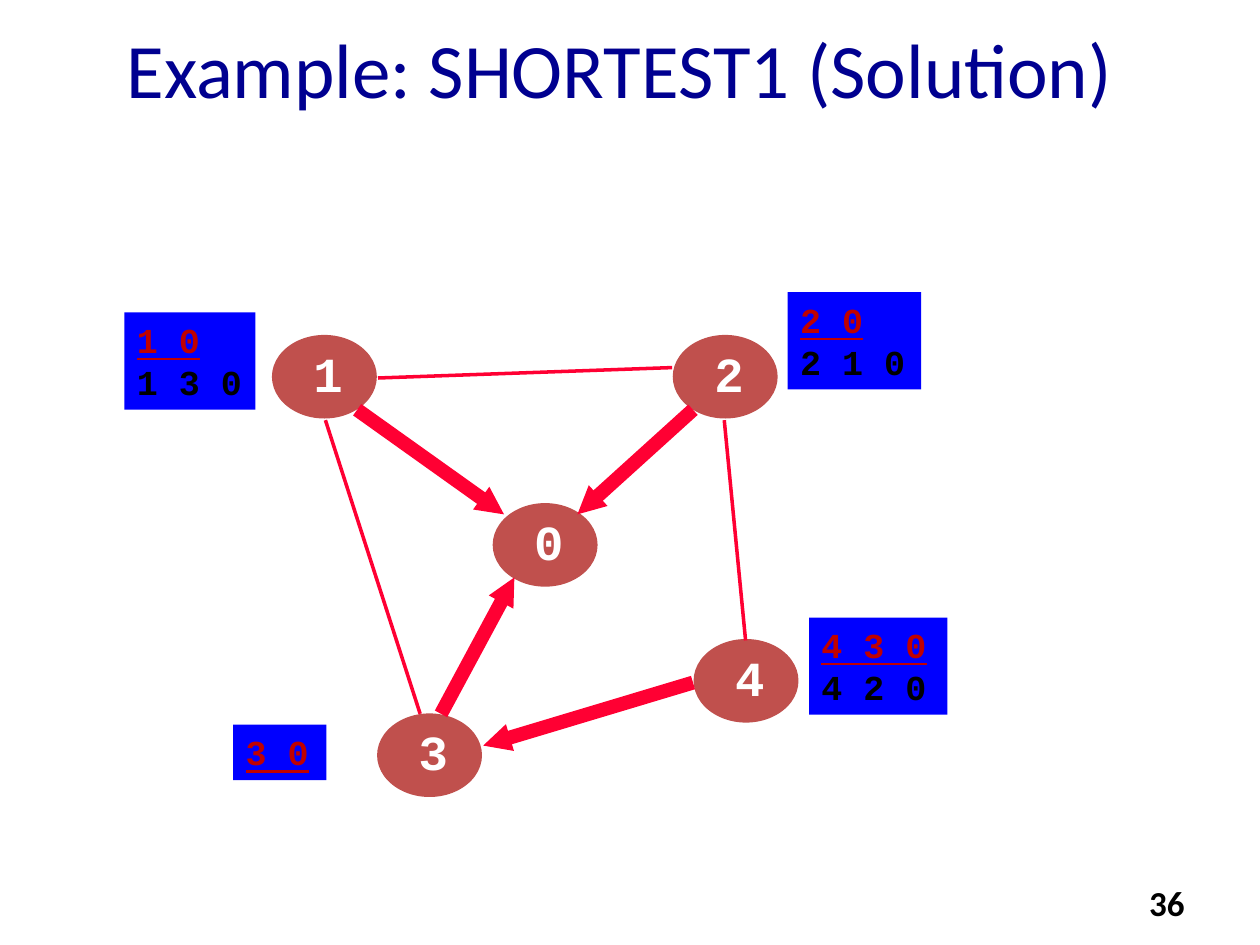
from dataclasses import dataclass

from lxml import etree
from pptx import Presentation
from pptx import util as u
from pptx.dml.color import RGBColor
from pptx.enum import shapes, text
from pptx.oxml import ns


@dataclass(frozen=True)
class Theme:
    """Colours, fonts and type sizes of the page."""
    title: str = "000090"
    node: str = "C0504D"
    node_text: str = "FFFFFF"
    edge: str = "FF0033"
    table: str = "0000FF"
    best: str = "C00000"
    ink: str = "000000"
    sans: str = "Calibri"
    mono: str = "Courier New"
    title_size: int = 44
    node_size: int = 28
    route_size: int = 20


THEME = Theme()
NODE_WIDTH, NODE_HEIGHT = 2.08, 1.65
NODES = {
    "1": (5.5, 6.77),
    "2": (13.58, 6.77),
    "4": (14, 12.9),
    "3": (7.62, 14.4),
    "0": (9.95, 10.16),
}
EDGES = [
    ((7.2, 8.26), (10.16, 10.37), True),
    ((7.62, 7.62), (13.55, 7.41), False),
    ((13.97, 8.26), (11.64, 10.37), True),
    ((15.03, 12.91), (14.6, 8.47), False),
    ((8.47, 14.39), (6.56, 8.47), False),
    ((13.97, 13.76), (9.74, 15.03), True),
    ((8.89, 14.39), (10.37, 11.64), True),
]
ROUTES = [
    ((15.88, 5.89, 2.69, 1.96), ["2 0", "2 1 0"]),
    ((2.51, 6.3, 2.64, 1.96), ["1 0", "1 3 0"]),
    ((16.31, 12.45, 2.79, 1.96), ["4 3 0", "4 2 0"]),
    ((4.7, 14.61, 1.88, 1.12), ["3 0"]),
]


def cm(*lengths):
    """Convert numbers to centimetre lengths."""
    return [u.Cm(length) for length in lengths]


def write(para, words, *, size, color, font=THEME.mono, bold=True,
          underline=False, align=text.PP_ALIGN.LEFT):
    """Write formatted words into a paragraph."""
    para.alignment = align
    span = para.add_run()
    span.text = words
    span.font.name = font
    span.font.size = u.Pt(size)
    span.font.bold = bold
    span.font.underline = underline
    span.font.color.rgb = RGBColor.from_string(color)


def add_text(parent, place, words, *, wrap=True,
             anchor=text.MSO_ANCHOR.TOP, **style):
    """Add a text box with one formatted paragraph."""
    box = parent.shapes.add_textbox(*cm(*place))
    box.text_frame.word_wrap = wrap
    box.text_frame.vertical_anchor = anchor
    write(box.text_frame.paragraphs[0], words, **style)


def add_filled(parent, kind, place, color):
    """Add a flat shape with a plain fill and no line."""
    shape = parent.shapes.add_shape(kind, *cm(*place))
    shape.shadow.inherit = False
    shape.fill.solid()
    shape.fill.fore_color.rgb = RGBColor.from_string(color)
    shape.line.fill.background()
    return shape


def add_node(page, name, left, top):
    """Add a grouped ellipse and its name."""
    group = page.shapes.add_group_shape()
    oval = add_filled(group, shapes.MSO_SHAPE.OVAL,
                      (left, top, NODE_WIDTH, NODE_HEIGHT), THEME.node)
    oval.line.color.rgb = RGBColor.from_string(THEME.node)
    oval.line.width = u.Pt(1)
    add_text(group, (left + 0.57, top + 0.03, 1.07, 1.45), name, wrap=False,
             size=THEME.node_size, color=THEME.node_text)


def add_edge(page, start, end, on_route):
    """Add a thin edge, or a thick arrow when it is on a shortest route."""
    edge = page.shapes.add_connector(shapes.MSO_CONNECTOR.STRAIGHT,
                                     *cm(*start, *end))
    edge.line.color.rgb = RGBColor.from_string(THEME.edge)
    edge.line.width = u.Pt(8 if on_route else 2)
    if on_route:
        etree.SubElement(edge.line._get_or_add_ln(), ns.qn("a:tailEnd"),
                         type="triangle", w="sm", len="sm")
    etree.SubElement(edge._element.spPr, ns.qn("a:effectLst"))


def add_routes(page, place, routes):
    """Add a box of routes with the shortest one underlined first."""
    box = add_filled(page, shapes.MSO_SHAPE.RECTANGLE, place, THEME.table)
    frame = box.text_frame
    frame.word_wrap = True
    frame.vertical_anchor = text.MSO_ANCHOR.TOP
    for index, route in enumerate(routes):
        best = index == 0
        para = frame.paragraphs[0] if best else frame.add_paragraph()
        write(para, route, size=THEME.route_size, underline=best,
              color=THEME.best if best else THEME.ink)


def main():
    """Build the page and save the deck."""
    deck = Presentation()
    deck.slide_width, deck.slide_height = cm(25.4, 19.05)
    page = deck.slides.add_slide(deck.slide_layouts[6])
    add_text(page, (18.21, 17.65, 5.92, 1.02), "36", font=THEME.sans,
             size=THEME.route_size, color=THEME.ink,
             align=text.PP_ALIGN.RIGHT)
    add_text(page, (0.43, 0.84, 24.13, 1.07), "Example: SHORTEST1 (Solution)",
             anchor=text.MSO_ANCHOR.MIDDLE, font=THEME.sans, bold=False,
             size=THEME.title_size, color=THEME.title,
             align=text.PP_ALIGN.CENTER)
    for name, (left, top) in NODES.items():
        add_node(page, name, left, top)
    for start, end, on_route in EDGES:
        add_edge(page, start, end, on_route)
    for place, routes in ROUTES:
        add_routes(page, place, routes)
    deck.save("out.pptx")


if __name__ == "__main__":
    main()
